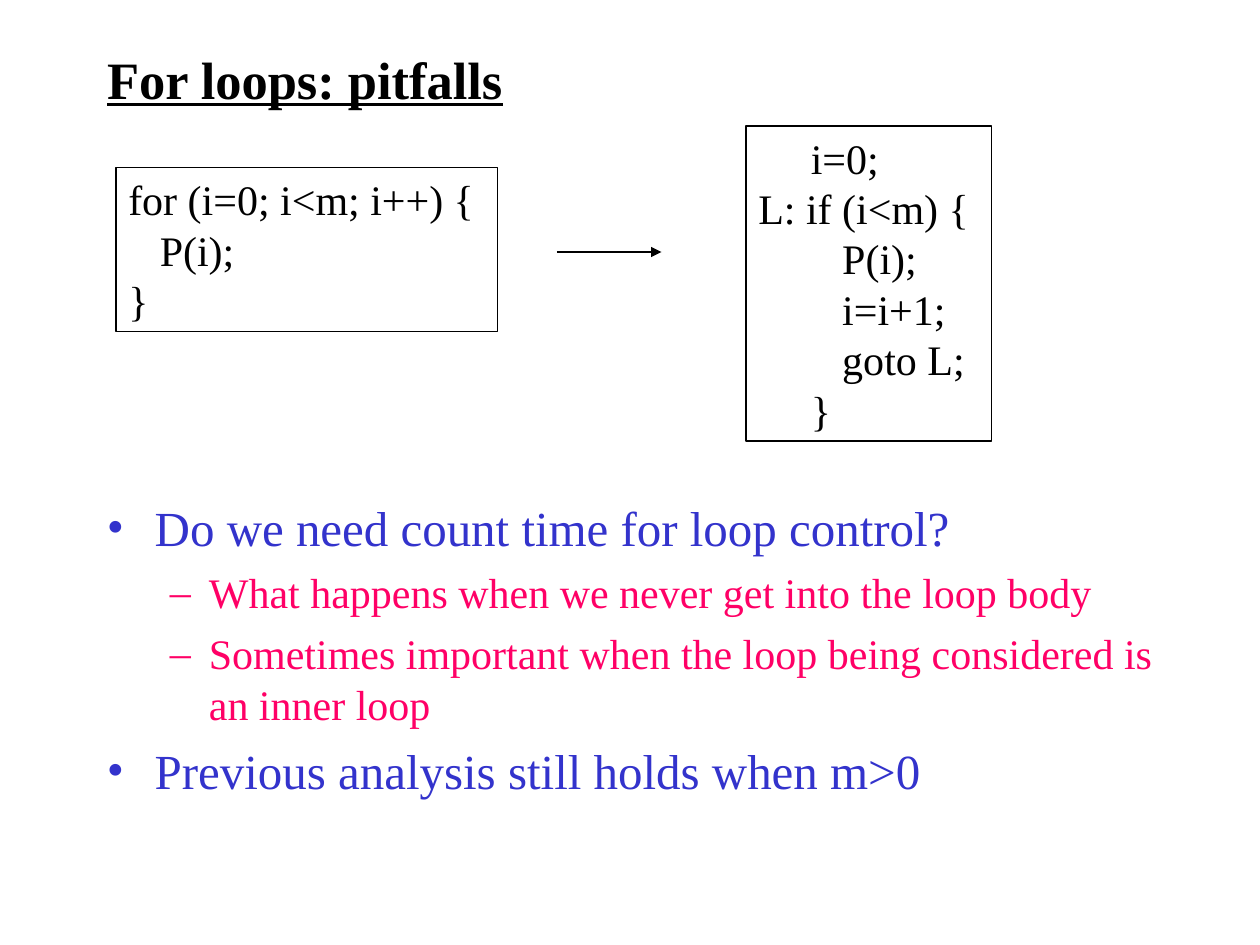
"""Build the slide on pitfalls of for loops."""
from lxml import etree
from pptx import Presentation
from pptx.dml.color import RGBColor
from pptx.enum import shapes, text
from pptx.oxml import ns
from pptx.util import Inches, Pt


def color(value):
    return RGBColor.from_string(value)


def add_run(p, content, size, value):
    r = p.add_run()
    r.text = content
    r.font.name = "Times New Roman"
    r.font.size = Pt(size)
    r.font.color.rgb = color(value)
    return r


prs = Presentation()
prs.slide_width, prs.slide_height = Inches(10), Inches(7.5)
s = prs.slides.add_slide(prs.slide_layouts[5])

title = s.shapes.title
title.left, title.top = Inches(0.75), Inches(0.33)
title.width, title.height = Inches(6.75), Inches(0.58)
tf = title.text_frame
tf.vertical_anchor = text.MSO_ANCHOR.MIDDLE
p = tf.paragraphs[0]
p.alignment = text.PP_ALIGN.LEFT
r = add_run(p, "For loops: pitfalls", 30, "000000")
r.font.bold = r.font.underline = True

bullets = [
    (0, "Do we need count time for loop control?"),
    (1, "What happens when we never get into the loop body"),
    (1, "Sometimes important when the loop being considered is an inner loop"),
    (0, "Previous analysis still holds when m>0"),
]
levels = [
    ("•", 0.38, 0.38, 28, 7, "3333CC"),
    ("–", 0.81, 0.31, 24, 6, "FF0066"),
]
body = s.shapes.add_textbox(Inches(0.75), Inches(3.9), Inches(8.5), Inches(2.76))
tf = body.text_frame
tf.word_wrap = True
for i, (level, content) in enumerate(bullets):
    mark, margin, hang, size, before, value = levels[level]
    p = tf.add_paragraph() if i else tf.paragraphs[0]
    p.level = level
    p.space_before = Pt(before if i else 0)
    pPr = p._p.get_or_add_pPr()
    pPr.set("marL", str(Inches(margin)))
    pPr.set("indent", str(-Inches(hang)))
    bullet_color = etree.SubElement(pPr, ns.qn("a:buClr"))
    etree.SubElement(bullet_color, ns.qn("a:srgbClr"), val=value)
    etree.SubElement(pPr, ns.qn("a:buFont"), typeface="Times New Roman")
    etree.SubElement(pPr, ns.qn("a:buChar"), char=mark)
    add_run(p, content, size, value)

code_boxes = [
    (0.92, 1.33, 3.03, 1.3, ["for (i=0; i<m; i++) {", "   P(i);", "}"]),
    (5.92, 1, 1.95, 2.5, [
        "     i=0;",
        "L: if (i<m) {",
        "        P(i);",
        "        i=i+1;",
        "        goto L;",
        "     }",
    ]),
]
for left, top, width, height, lines in code_boxes:
    sp = s.shapes.add_textbox(Inches(left), Inches(top), Inches(width), Inches(height))
    sp.line.color.rgb = color("000000")
    sp.line.width = Pt(0.75)
    tf = sp.text_frame
    tf.word_wrap = True
    for i, line in enumerate(lines):
        p = tf.add_paragraph() if i else tf.paragraphs[0]
        add_run(p, line, 24, "000000")

arrow = s.shapes.add_connector(
    shapes.MSO_CONNECTOR.STRAIGHT, Inches(4.42), Inches(2), Inches(5.25), Inches(2)
)
arrow.line.color.rgb = color("000000")
arrow.line.width = Pt(0.75)
etree.SubElement(arrow.line._get_or_add_ln(), ns.qn("a:tailEnd"), type="triangle")
etree.SubElement(arrow._element.spPr, ns.qn("a:effectLst"))

prs.save("out.pptx")
